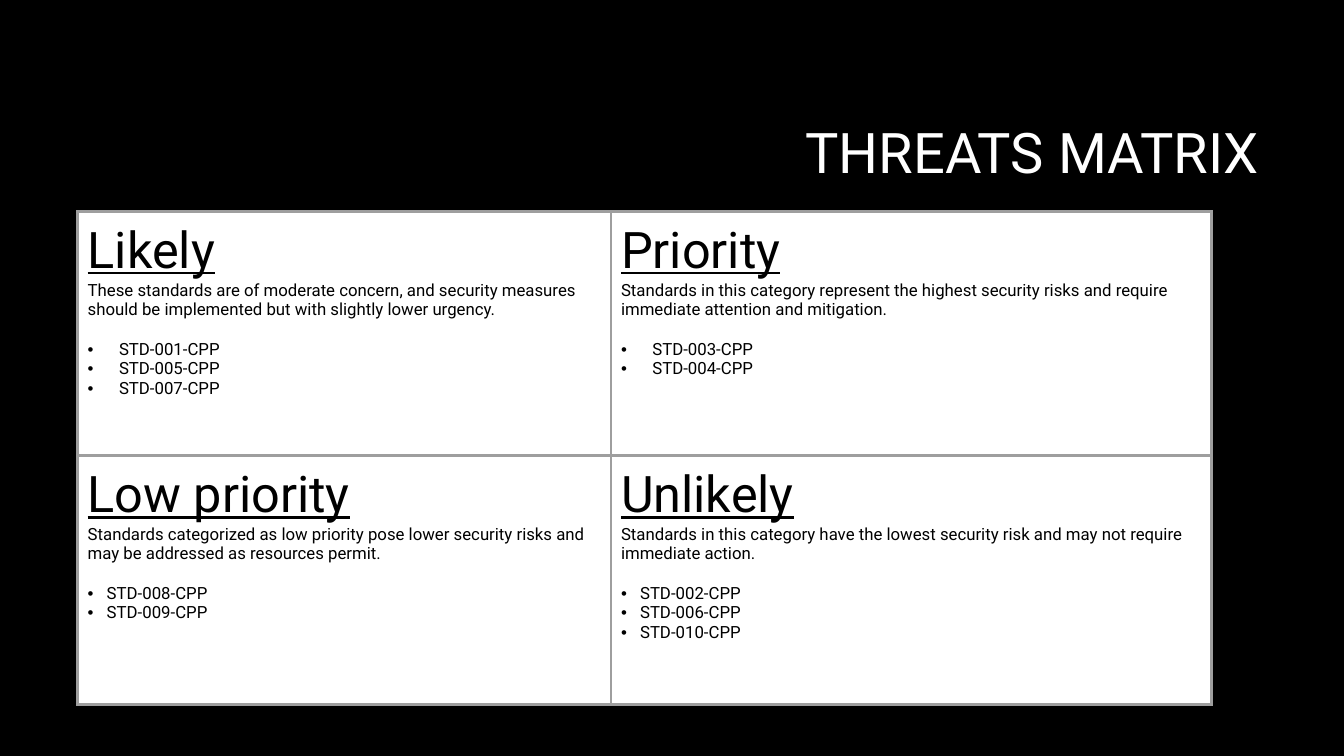
"""Build a slide with a two-by-two matrix of security threats."""
import pptx
import pptx.dml.color
import pptx.enum.text
import pptx.oxml
import pptx.oxml.ns
import pptx.util

Cm = pptx.util.Cm
Pt = pptx.util.Pt


def colour(value):
    return pptx.dml.color.RGBColor.from_string(value)


def write(para, text, size=12, ink="000000", underline=False):
    span = para.add_run()
    span.text = text
    span.font.name = "Roboto"
    span.font.size = Pt(size)
    span.font.underline = underline
    span.font.color.rgb = colour(ink)


NAMESPACE = pptx.oxml.ns.nsdecls("a")
BORDER = (
    '<a:{side} {namespace} w="28575"><a:solidFill><a:srgbClr val="9E9E9E"/>'
    '</a:solidFill></a:{side}>'
)
BULLET = (
    f'<a:buClr {NAMESPACE}><a:srgbClr val="000000"/></a:buClr>',
    f'<a:buFont {NAMESPACE} typeface="Arial"/>',
    f'<a:buChar {NAMESPACE} char="•"/>',
)
COLUMN_WIDTHS = (Cm(13.44), Cm(15.14))
ROW_HEIGHTS = (Cm(6.15), Cm(6.27))
BULLET_INDENTS = (Cm(0.79), Cm(0.48))
QUADRANTS = [
    [
        ("Likely",
         "These standards are of moderate concern, and security measures "
         "should be implemented but with slightly lower urgency.",
         ("001", "005", "007")),
        ("Priority",
         "Standards in this category represent the highest security risks "
         "and require immediate attention and mitigation.",
         ("003", "004")),
    ],
    [
        ("Low priority",
         "Standards categorized as low priority pose lower security risks "
         "and may be addressed as resources permit.",
         ("008", "009")),
        ("Unlikely",
         "Standards in this category have the lowest security risk and may "
         "not require immediate action.",
         ("002", "006", "010")),
    ],
]

deck = pptx.Presentation()
deck.slide_width = Cm(33.87)
deck.slide_height = Cm(19.05)
page = deck.slides.add_slide(deck.slide_layouts[5])
page.background.fill.solid()
page.background.fill.fore_color.rgb = colour("000000")

title = page.shapes.title
title.left, title.top = Cm(8.05), Cm(2.13)
title.width, title.height = Cm(23.93), Cm(3.58)
title.text_frame.auto_size = pptx.enum.text.MSO_AUTO_SIZE.NONE
title.text_frame.vertical_anchor = pptx.enum.text.MSO_ANCHOR.MIDDLE
title_para = title.text_frame.paragraphs[0]
title_para.alignment = pptx.enum.text.PP_ALIGN.RIGHT
title_para.line_spacing = 0.9
write(title_para, "THREATS MATRIX", size=40, ink="FFFFFF")

matrix = page.shapes.add_table(
    2, 2, Cm(1.96), Cm(5.33), sum(COLUMN_WIDTHS), sum(ROW_HEIGHTS)
).table
matrix.first_row = False
matrix.horz_banding = False
for column, width in zip(matrix.columns, COLUMN_WIDTHS):
    column.width = width
for row, height in zip(matrix.rows, ROW_HEIGHTS):
    row.height = height

for row_index, quadrant_row in enumerate(QUADRANTS):
    for column_index, (heading, summary, standards) in enumerate(quadrant_row):
        cell = matrix.cell(row_index, column_index)
        cell.margin_left = cell.margin_right = Cm(0.25)
        cell.margin_top = cell.margin_bottom = Cm(0.25)
        properties = cell._tc.get_or_add_tcPr()
        for side in ("lnL", "lnR", "lnT", "lnB"):
            border = BORDER.format(side=side, namespace=NAMESPACE)
            properties.append(pptx.oxml.parse_xml(border))
        cell.fill.solid()
        cell.fill.fore_color.rgb = colour("FFFFFF")

        frame = cell.text_frame
        write(frame.paragraphs[0], heading, size=36, underline=True)
        summary_para = frame.add_paragraph()
        summary_para.space_after = Pt(14)
        write(summary_para, summary)
        for number in standards:
            para = frame.add_paragraph()
            write(para, f"STD-{number}-CPP")
            indent = BULLET_INDENTS[row_index]
            bullet = para._p.get_or_add_pPr()
            bullet.set("marL", str(indent))
            bullet.set("indent", str(-indent))
            for part in BULLET:
                bullet.append(pptx.oxml.parse_xml(part))

deck.save("out.pptx")
